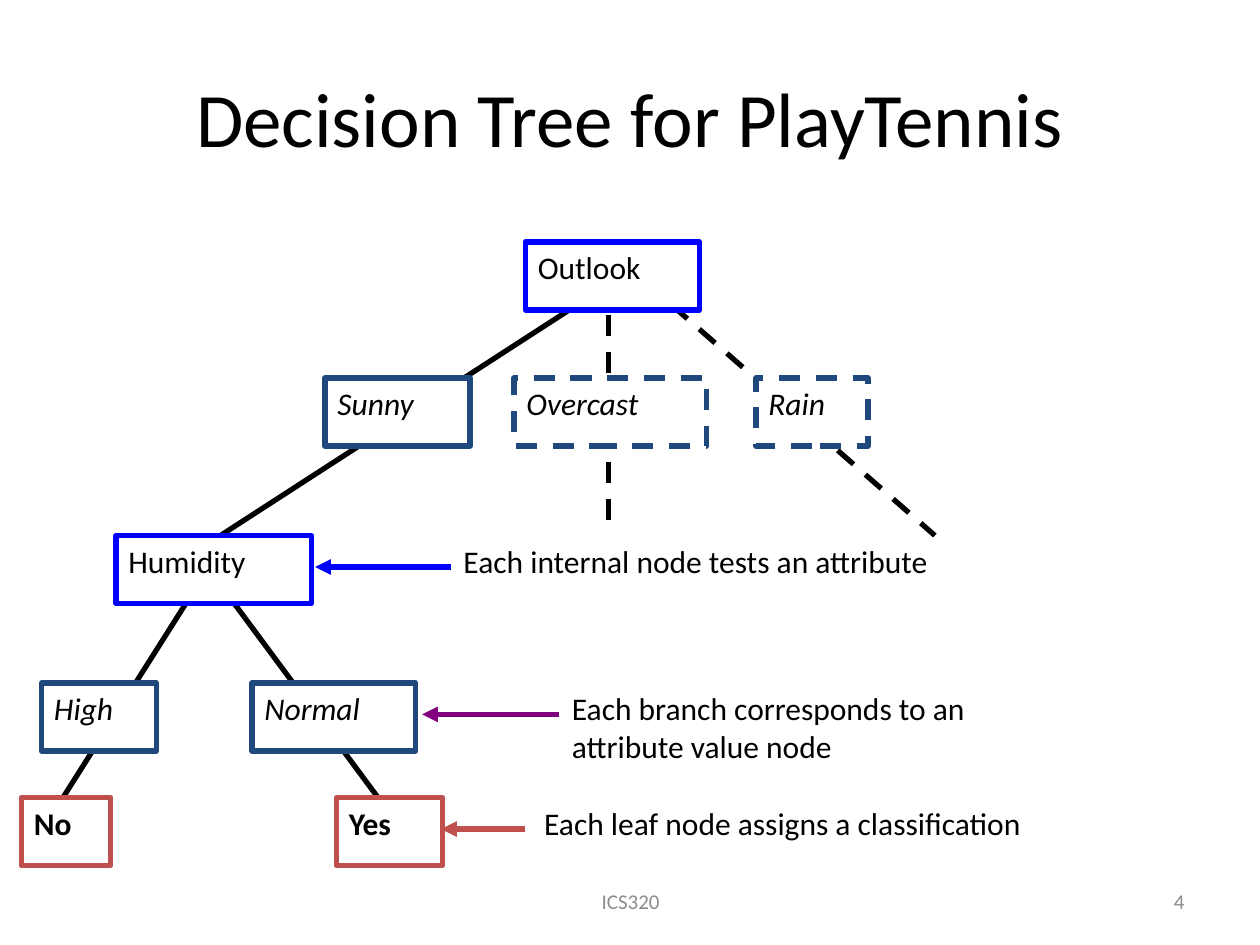
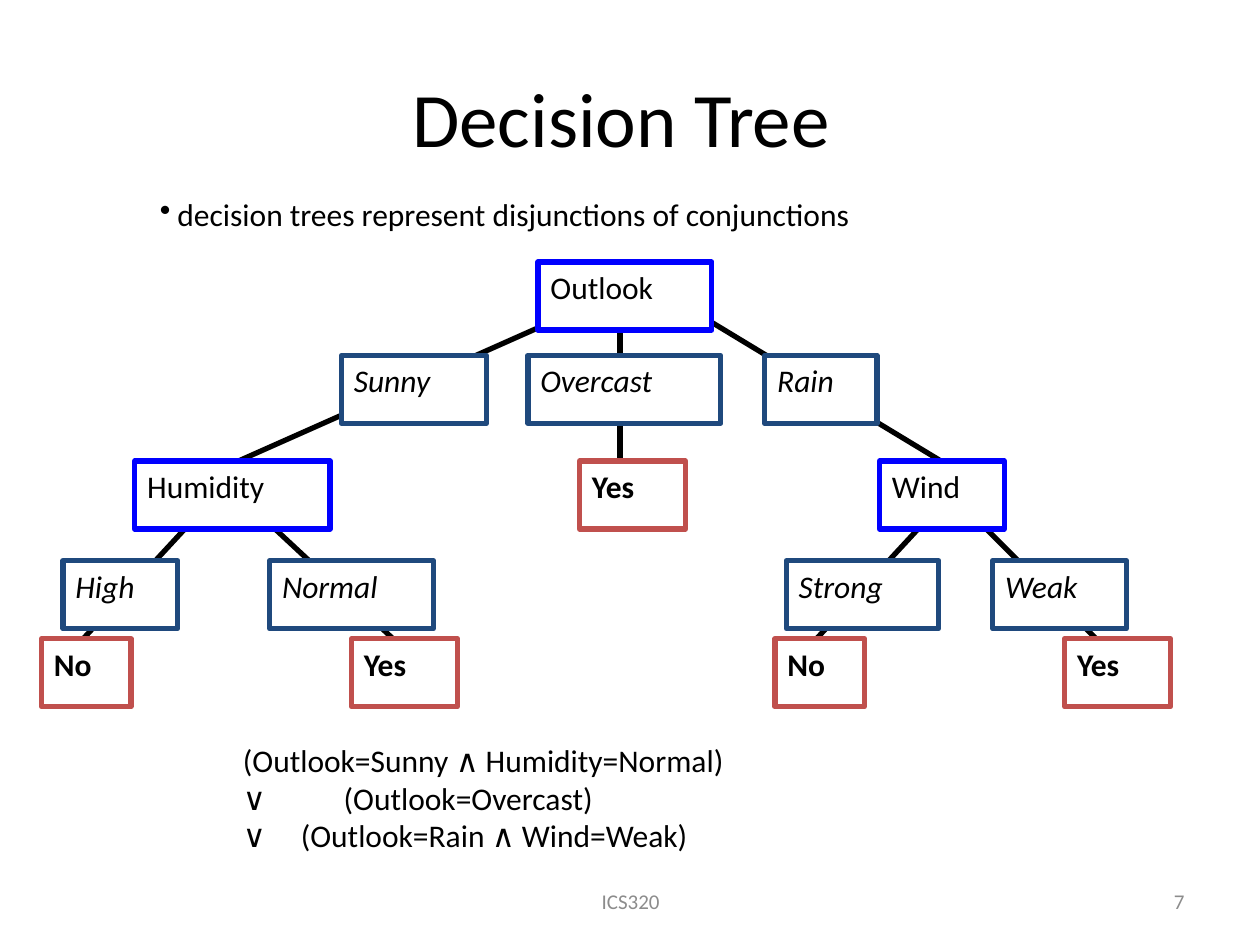
from lxml import etree
from pptx import Presentation
from pptx.dml.color import RGBColor
from pptx.enum.dml import MSO_LINE
from pptx.enum.shapes import MSO_CONNECTOR, MSO_SHAPE
from pptx.enum.text import MSO_ANCHOR, PP_ALIGN
from pptx.oxml.ns import qn
from pptx.util import Inches, Pt

RECT = MSO_SHAPE.RECTANGLE
STRAIGHT = MSO_CONNECTOR.STRAIGHT
DASH = MSO_LINE.DASH
LEFT, CENTER, RIGHT = PP_ALIGN.LEFT, PP_ALIGN.CENTER, PP_ALIGN.RIGHT
TOP, MIDDLE = MSO_ANCHOR.TOP, MSO_ANCHOR.MIDDLE

COLORS = {
    "text": "000000",
    "paper": "FFFFFF",
    "footer": "8C8C8C",
    "attribute": "0000FF",
    "value": "1F497D",
    "leaf": "C0504D",
    "branch": "800080",
}
FONT = "Calibri"
LINE_WIDTH = Pt(3)
NODE_HEIGHT = 0.54

# Font styles for each kind of tree node
NODE_STYLES = {
    "attribute": {},
    "value": {"italic": True},
    "leaf": {"bold": True},
}

# Kind and box width of each node label
NODES = {
    "Outlook": ("attribute", 1.38),
    "Humidity": ("attribute", 1.55),
    "Wind": ("attribute", 0.99),
    "Sunny": ("value", 1.15),
    "Overcast": ("value", 1.53),
    "Rain": ("value", 0.89),
    "High": ("value", 0.91),
    "Normal": ("value", 1.3),
    "Strong": ("value", 1.21),
    "Weak": ("value", 1.06),
    "No": ("leaf", 0.71),
    "Yes": ("leaf", 0.84),
}


def rgb(name):
    return RGBColor.from_string(COLORS[name])


def style_font(font, size=18, color="text", **extra):
    values = {"name": FONT, "size": Pt(size), **extra}
    for key, value in values.items():
        setattr(font, key, value)
    font.color.rgb = rgb(color)


def write(tf, lines, align=LEFT, anchor=TOP, **style):
    """Fill a text frame with one paragraph per line and return them."""
    tf.word_wrap = True
    tf.vertical_anchor = anchor
    for i, line in enumerate(lines):
        p = tf.paragraphs[0] if i == 0 else tf.add_paragraph()
        p.alignment = align
        r = p.add_run()
        r.text = line
        style_font(r.font, **style)
    return tf.paragraphs


def add_text(s, at, lines, **style):
    box = s.shapes.add_textbox(*map(Inches, at))
    return write(box.text_frame, lines, **style)


def add_line(s, start, end, color="text", dashed=False, arrow=False):
    line = s.shapes.add_connector(STRAIGHT, *map(Inches, (*start, *end)))
    line.line.color.rgb = rgb(color)
    line.line.width = LINE_WIDTH
    if dashed:
        line.line.dash_style = DASH
    if arrow:
        ln = line.line._get_or_add_ln()
        etree.SubElement(ln, qn("a:tailEnd"), type="triangle")
    etree.SubElement(line._element.spPr, qn("a:effectLst"))


def add_node(s, label, left, top, dashed=False):
    kind, width = NODES[label]
    sp = s.shapes.add_shape(RECT, *map(Inches, (left, top, width, NODE_HEIGHT)))
    sp.shadow.inherit = False
    sp.fill.solid()
    sp.fill.fore_color.rgb = rgb("paper")
    sp.line.color.rgb = rgb(kind)
    sp.line.width = LINE_WIDTH
    if dashed:
        sp.line.dash_style = DASH
    write(sp.text_frame, [label], **NODE_STYLES[kind])


def add_tree(s, edges, rows):
    """Draw the edges first so that the node boxes cover them."""
    for start, end, *dashed in edges:
        add_line(s, start, end, dashed=bool(dashed))
    for top, nodes in rows:
        for label, left, *dashed in nodes:
            add_node(s, label, left, top, bool(dashed))


def add_callout(s, lines, text_left, top, arrow_from, arrow_to, color):
    add_text(s, (text_left, top, 9.95 - text_left, 0.5), lines)
    y = top + 0.25
    add_line(s, (arrow_from, y), (arrow_to, y), color, arrow=True)


def add_bullet(p, indent):
    pPr = p._p.get_or_add_pPr()
    pPr.set("marL", str(Inches(indent)))
    pPr.set("indent", str(-Inches(indent)))
    etree.SubElement(pPr, qn("a:buChar"), char="•")


def add_tab(p, position):
    tabs = etree.SubElement(p._p.get_or_add_pPr(), qn("a:tabLst"))
    etree.SubElement(tabs, qn("a:tab"), pos=str(Inches(position)), algn="l")


def new_slide(prs, title, number):
    s = prs.slides.add_slide(prs.slide_layouts[6])
    footer = {"size": 12, "color": "footer", "anchor": MIDDLE}
    add_text(s, (3.42, 6.95, 3.17, 0.4), ["ICS320"], align=CENTER, **footer)
    add_text(s, (7.17, 6.95, 2.33, 0.4), [number], align=RIGHT, **footer)
    add_text(s, (0.5, 0.3, 9, 1.25), [title], align=CENTER, anchor=MIDDLE, size=44)
    return s


def build_play_tennis(prs):
    s = new_slide(prs, "Decision Tree for PlayTennis", "4")
    edges = [
        ((4.58, 2.42), (1.75, 4.25)),
        ((5.33, 2.42), (7.42, 4.25), "dashed"),
        ((1.5, 4.75), (0.5, 6.33)),
        ((1.83, 4.75), (3, 6.33)),
        ((4.83, 2.5), (4.83, 4.25), "dashed"),
    ]
    rows = [
        (1.92, [("Outlook", 4.17)]),
        (3, [("Sunny", 2.58), ("Overcast", 4.08, "dashed"), ("Rain", 6, "dashed")]),
        (4.25, [("Humidity", 0.92)]),
        (5.42, [("High", 0.33), ("Normal", 2)]),
        (6.33, [("No", 0.17), ("Yes", 2.67)]),
    ]
    add_tree(s, edges, rows)

    # Explanations of the node kinds
    add_callout(s, ["Each internal node tests an attribute"],
                3.58, 4.25, 3.58, 2.5, "attribute")
    add_callout(s, ["Each branch corresponds to an", "attribute value node"],
                4.44, 5.42, 4.44, 3.35, "branch")
    add_callout(s, ["Each leaf node assigns a classification"],
                4.22, 6.33, 4.17, 3.5, "leaf")


def build_disjunctions(prs):
    s = new_slide(prs, "Decision Tree ", "7")
    edges = [
        ((4.68, 2.42), (1.89, 3.66)),
        ((5.42, 2.42), (7.47, 3.66)),
        ((1.65, 4), (0.66, 5.07)),
        ((1.97, 4), (3.12, 5.07)),
        ((7.63, 4), (8.7, 5.07)),
        ((7.47, 4), (6.48, 5.07)),
        ((4.92, 2.48), (4.92, 3.66)),
    ]
    rows = [
        (2.08, [("Outlook", 4.27)]),
        (2.82, [("Sunny", 2.71), ("Overcast", 4.19), ("Rain", 6.07)]),
        (3.66, [("Humidity", 1.07), ("Yes", 4.6), ("Wind", 6.98)]),
        (4.45, [("High", 0.5), ("Normal", 2.14), ("Strong", 6.24), ("Weak", 7.88)]),
        (5.07, [("No", 0.33), ("Yes", 2.79), ("No", 6.15), ("Yes", 8.45)]),
    ]
    add_tree(s, edges, rows)

    # Statement above the tree
    statement = "decision trees represent disjunctions of conjunctions"
    add_bullet(add_text(s, (1.17, 1.5, 8.15, 0.5), [statement])[0], 0.14)

    # Formula below the tree
    formula = add_text(s, (1.83, 5.83, 5.86, 1.3), [
        "(Outlook=Sunny ∧ Humidity=Normal)",
        "∨\t(Outlook=Overcast)",
        "∨\t(Outlook=Rain ∧ Wind=Weak)",
    ])
    for p, position in zip(formula[1:], (0.8, 0.46)):
        add_tab(p, position)


def main():
    prs = Presentation()
    prs.slide_width, prs.slide_height = Inches(10), Inches(7.5)
    build_play_tennis(prs)
    build_disjunctions(prs)
    prs.save("out.pptx")


if __name__ == "__main__":
    main()
